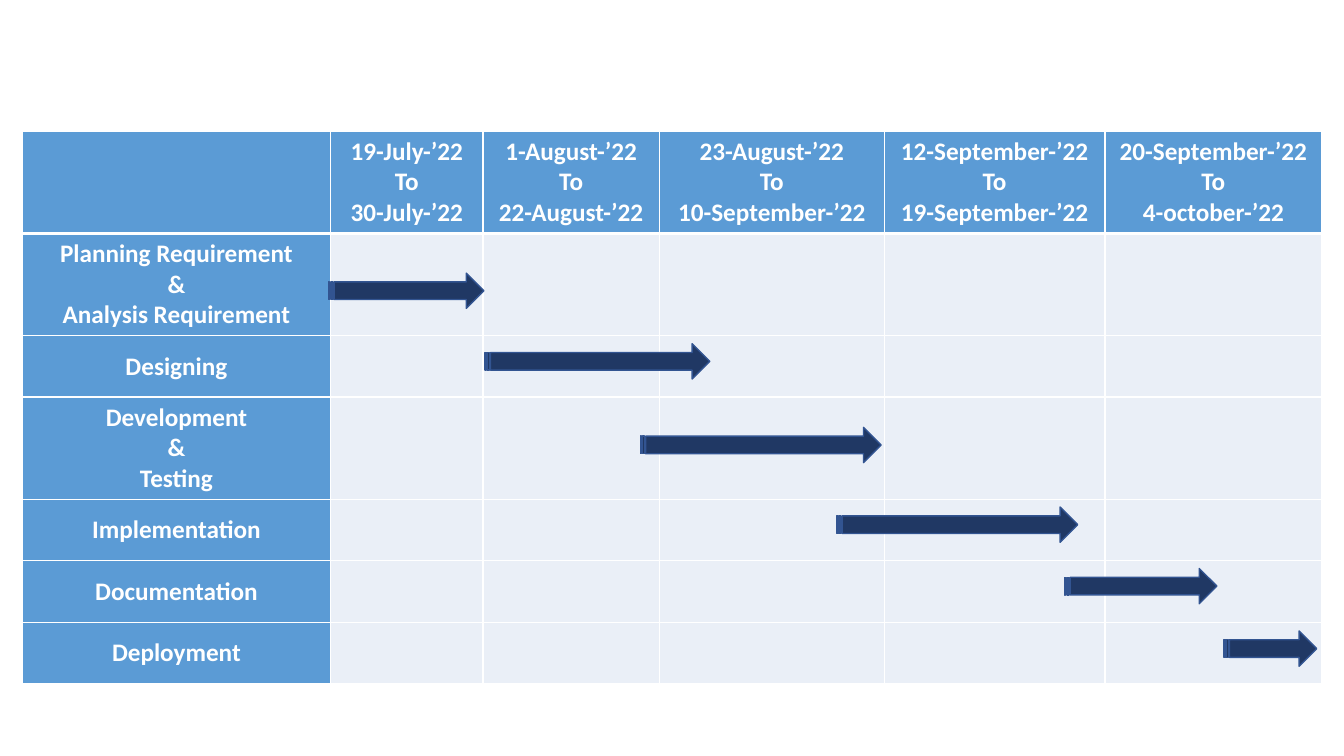
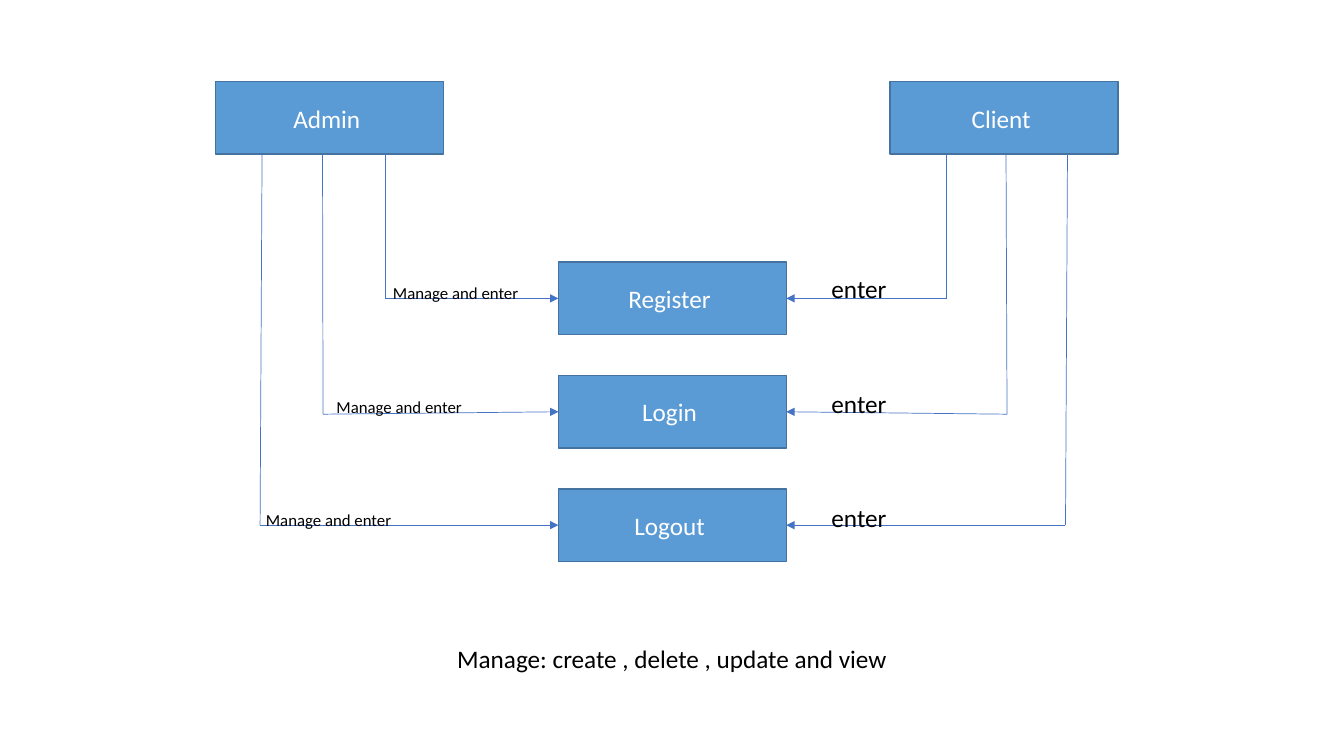
from dataclasses import dataclass

from pptx import Presentation
from pptx.dml.color import RGBColor
from pptx.enum.shapes import MSO_CONNECTOR, MSO_SHAPE
from pptx.enum.text import MSO_ANCHOR, MSO_AUTO_SIZE, PP_ALIGN
from pptx.oxml import parse_xml
from pptx.oxml.ns import nsdecls
from pptx.oxml.xmlchemy import OxmlElement
from pptx.util import Inches, Pt

BLUE = RGBColor(0x5B, 0x9B, 0xD5)
PALE = RGBColor(0xEA, 0xEF, 0xF7)
NAVY = RGBColor(0x20, 0x38, 0x64)
NAVY_EDGE = RGBColor(0x32, 0x54, 0x91)
NODE_EDGE = RGBColor(0x43, 0x73, 0x9E)
WIRE = RGBColor(0x44, 0x72, 0xC4)
WHITE = RGBColor(0xFF, 0xFF, 0xFF)
BLACK = RGBColor(0, 0, 0)

FONT = {"name": "Calibri", "size": Pt(18), "bold": False}
HEADING = FONT | {"bold": True}
SMALL = FONT | {"size": Pt(12)}

prs = Presentation()
prs.slide_width, prs.slide_height = Inches(13.33), Inches(7.5)


@dataclass
class Box:
    x: float
    y: float
    w: float
    h: float

    def at(self, x, y):
        return int(self.x + self.w * x / 100), int(self.y + self.h * y / 100)

    def inner(self, x, y, w, h):
        return Box(*self.at(x, y), int(self.w * w / 100), int(self.h * h / 100))

    def frame(self):
        return self.x, self.y, self.w, self.h


PAGE = Box(0, 0, prs.slide_width, prs.slide_height)


def write(tf, lines, font, color, align=PP_ALIGN.CENTER):
    for i, line in enumerate(lines):
        p = tf.paragraphs[0] if i == 0 else tf.add_paragraph()
        p.alignment = align
        r = p.add_run()
        r.text = line
        for name, value in font.items():
            setattr(r.font, name, value)
        r.font.color.rgb = color


def add_shape(s, kind, box, fill, edge):
    sp = s.shapes.add_shape(kind, *box.frame())
    sp.shadow.inherit = False
    sp.fill.solid()
    sp.fill.fore_color.rgb = fill
    sp.line.color.rgb = edge
    sp.line.width = Pt(1)
    return sp


def add_node(s, box, label):
    sp = add_shape(s, MSO_SHAPE.RECTANGLE, box, BLUE, NODE_EDGE)
    sp.text_frame.vertical_anchor = MSO_ANCHOR.MIDDLE
    write(sp.text_frame, [label], FONT, WHITE)


def add_label(s, box, text, font, align=PP_ALIGN.LEFT):
    tf = s.shapes.add_textbox(*box.frame()).text_frame
    tf.word_wrap = True
    tf.auto_size = MSO_AUTO_SIZE.SHAPE_TO_FIT_TEXT
    write(tf, [text], font, BLACK, align)


def add_wire(s, start, end, arrow=False):
    wire = s.shapes.add_connector(MSO_CONNECTOR.STRAIGHT, *start, *end)
    wire.line.color.rgb = WIRE
    wire.line.width = Pt(0.5)
    if arrow:
        tail = OxmlElement("a:tailEnd")
        tail.set("type", "triangle")
        wire.line._get_or_add_ln().append(tail)
    wire._element.spPr.append(OxmlElement("a:effectLst"))


def set_borders(cell, row):
    tcPr = cell._tc.get_or_add_tcPr()
    widths = {"L": 1, "R": 1, "T": 3 if row == 1 else 1, "B": 3 if row == 0 else 1}
    for i, (side, width) in enumerate(widths.items()):
        tcPr.insert(i, parse_xml(
            f'<a:ln{side} {nsdecls("a")} w="{Pt(width)}"><a:solidFill>'
            f'<a:srgbClr val="{WHITE}"/></a:solidFill></a:ln{side}>'))


PERIODS = [
    ("19-July-’22", "30-July-’22"),
    ("1-August-’22", "22-August-’22"),
    ("23-August-’22", "10-September-’22"),
    ("12-September-’22", "19-September-’22"),
    ("20-September-’22", "4-october-’22"),
]
TASKS = [
    ["Planning Requirement", "&", "Analysis Requirement"],
    ["Designing"],
    ["Development", "&", "Testing"],
    ["Implementation"],
    ["Documentation"],
    ["Deployment"],
]
COLUMNS = [3.06, 1.51, 1.75, 2.23, 2.19, 2.15]
ROWS = [5, 5, 3, 5, 3, 3, 3]
ARROW_HEIGHT = 6.39
ARROWS = [
    (23.58, 25.75, 11.95),
    (35.61, 38.54, 17.3),
    (47.56, 53.7, 18.54),
    (62.68, 68.13, 18.54),
    (80.22, 79.27, 11.71),
    (92.47, 90.59, 7.14),
]


def add_schedule(s, box):
    table = s.shapes.add_table(len(ROWS), len(COLUMNS), *box.frame()).table
    table.first_row = table.horz_banding = False
    for column, share in zip(table.columns, COLUMNS):
        column.width = int(box.w * share / sum(COLUMNS))
    for row, share in zip(table.rows, ROWS):
        row.height = int(box.h * share / sum(ROWS))
    texts = {(0, c): [start, "To", end] for c, (start, end) in enumerate(PERIODS, 1)}
    texts |= {(r, 0): lines for r, lines in enumerate(TASKS, 1)}
    for r in range(len(ROWS)):
        for c in range(len(COLUMNS)):
            cell = table.cell(r, c)
            cell.fill.solid()
            cell.fill.fore_color.rgb = PALE if r and c else BLUE
            cell.vertical_anchor = MSO_ANCHOR.MIDDLE
            set_borders(cell, r)
            write(cell.text_frame, texts.get((r, c), []), HEADING, WHITE)
    for x, y, w in ARROWS:
        add_shape(s, MSO_SHAPE.STRIPED_RIGHT_ARROW,
                  box.inner(x, y, w, ARROW_HEIGHT), NAVY, NAVY_EDGE)


NODE_W, NODE_H = 25.25, 15.13
ACTION_X, ACTION_Y, ACTION_STEP = 37.99, 37.61, 23.63
ACTIONS = ["Register ", "Login ", "Logout "]
CORNER_DROPS = [0, 0.5, 0]
ADMIN_WIRES = [(18.77, 18.77), (11.84, 11.9), (5.14, 4.92)]
CLIENT_WIRES = [(81.01, 81.01), (87.6, 87.71), (94.41, 94.19)]
MANAGE_X = [18.55, 12.29, 4.47]
ENTER_DROPS = [1.26, 1.68, 1.68]


def add_access_diagram(s, box):
    add_node(s, box.inner(0, 0, NODE_W, NODE_H), "Admin ")
    add_node(s, box.inner(100 - NODE_W, 0, NODE_W, NODE_H), "Client ")
    for i, action in enumerate(ACTIONS):
        top = ACTION_Y + i * ACTION_STEP
        middle = top + NODE_H / 2
        add_node(s, box.inner(ACTION_X, top, NODE_W, NODE_H), action)
        for wires, target in ((ADMIN_WIRES, ACTION_X),
                              (CLIENT_WIRES, ACTION_X + NODE_W)):
            upper, lower = wires[i]
            corner = box.at(lower, middle + CORNER_DROPS[i])
            add_wire(s, box.at(upper, NODE_H), corner)
            add_wire(s, corner, box.at(target, middle), arrow=True)
        add_label(s, box.inner(67.15, top + ENTER_DROPS[i], 9.27, 8.4), "enter", FONT)
        add_label(s, box.inner(MANAGE_X[i], top + 3.3, 23.8, 6.3),
                  "Manage and enter", SMALL)


def new_slide():
    return prs.slides.add_slide(prs.slide_layouts[6])


add_schedule(new_slide(), PAGE.inner(1.65, 17.33, 96.7, 73))

s = new_slide()
add_access_diagram(s, PAGE.inner(16.05, 10.8, 67.13, 63.47))
add_label(s, PAGE.inner(31.5, 84.4, 37, 5.33),
          "Manage: create , delete , update and view", FONT, PP_ALIGN.CENTER)

prs.save("out.pptx")
